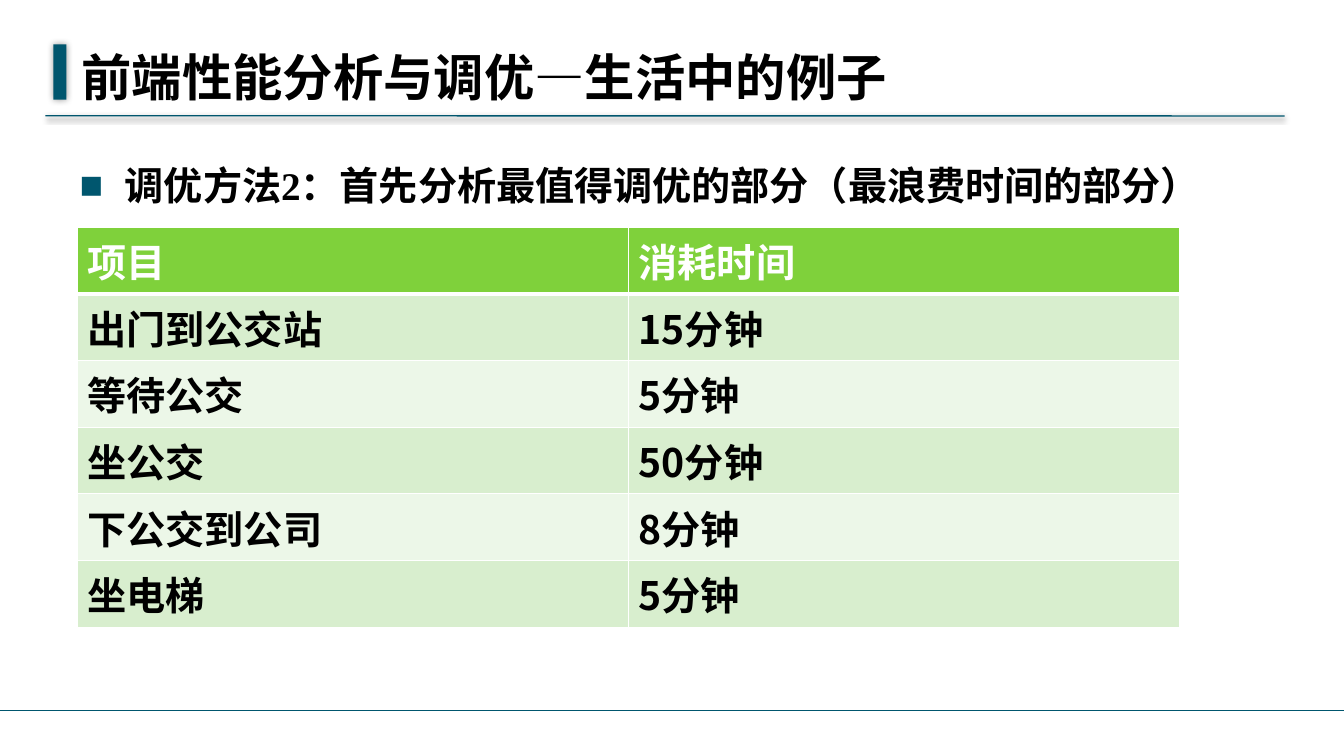
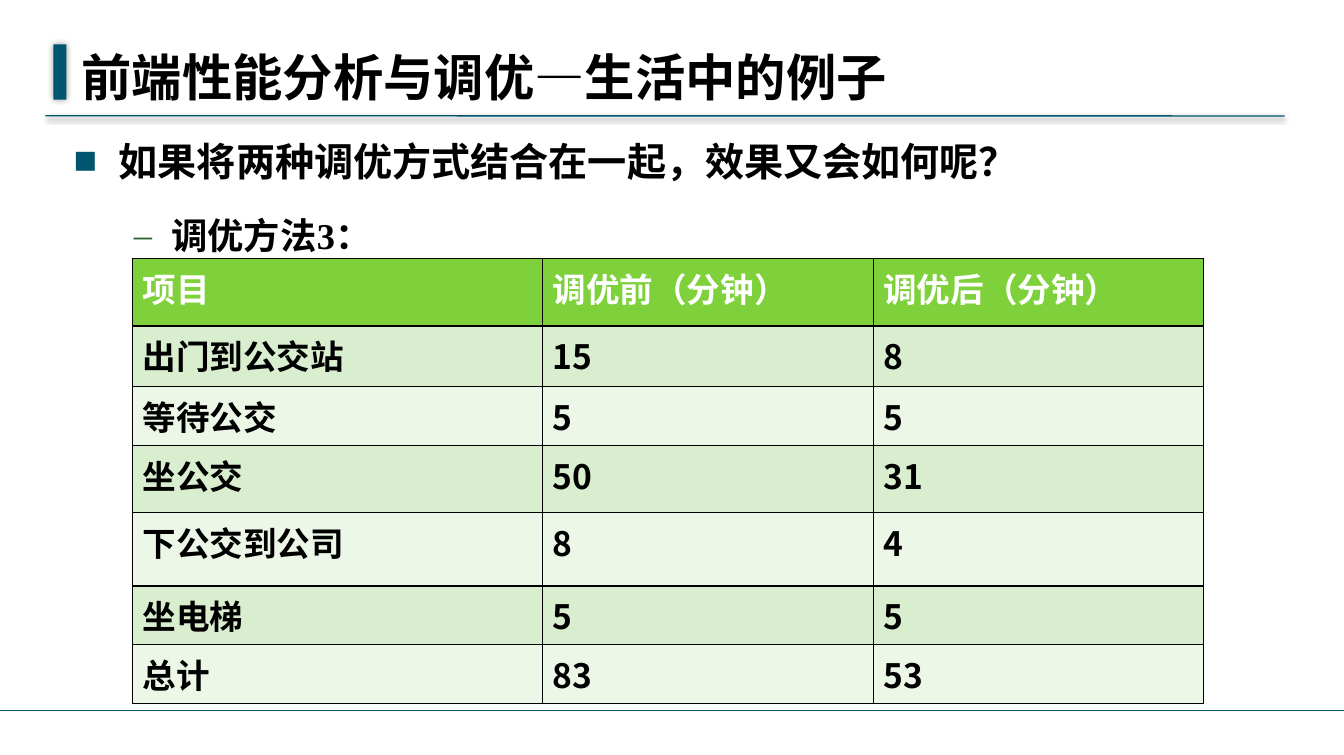
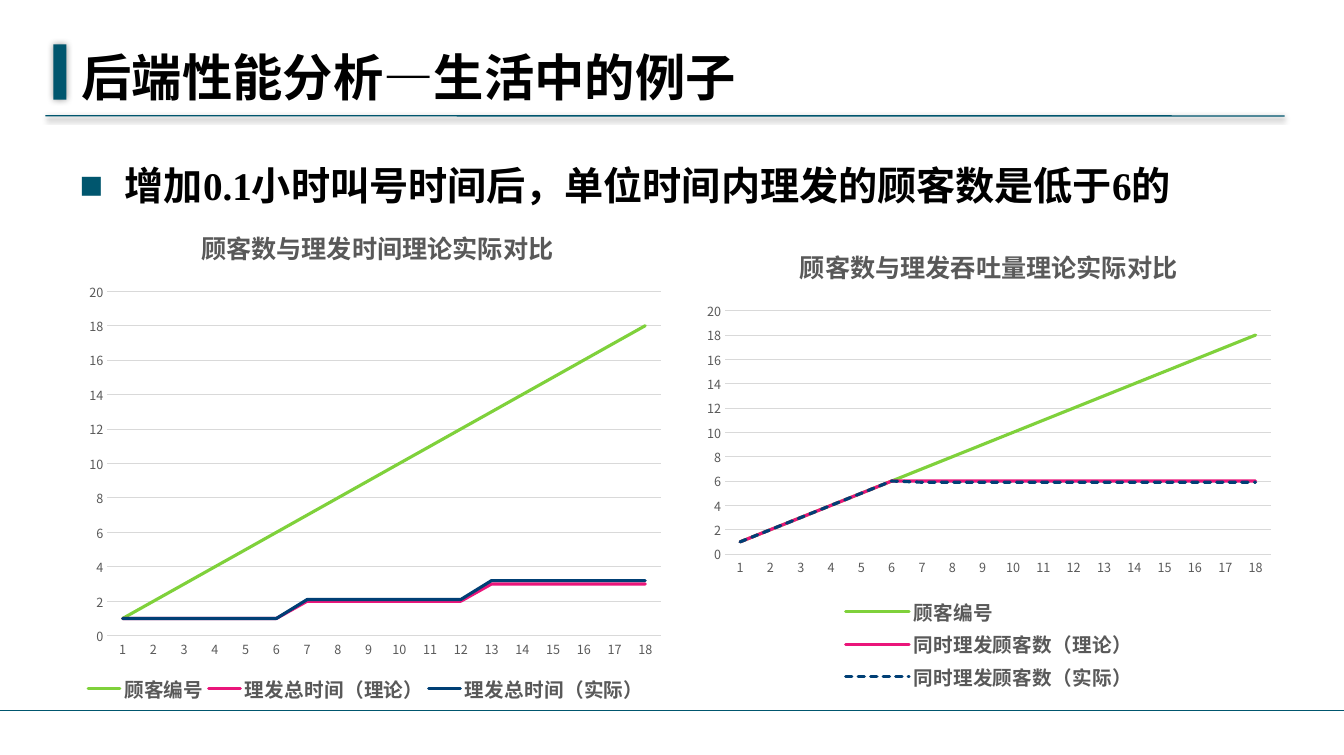
from dataclasses import dataclass
from typing import Any, Optional

from lxml.etree import SubElement
from pptx import Presentation
from pptx.chart.data import CategoryChartData
from pptx.dml.color import RGBColor
from pptx.enum.chart import XL_CHART_TYPE as ChartType
from pptx.enum.chart import XL_LEGEND_POSITION as LegendPosition
from pptx.enum.chart import XL_TICK_MARK as TickMark
from pptx.enum.dml import MSO_LINE_DASH_STYLE as Dash
from pptx.enum.shapes import MSO_CONNECTOR as Connector
from pptx.enum.shapes import MSO_SHAPE as Preset
from pptx.enum.text import MSO_ANCHOR as Anchor
from pptx.enum.text import MSO_AUTO_SIZE as AutoSize
from pptx.enum.text import PP_ALIGN as Align
from pptx.oxml.ns import qn
from pptx.util import Inches, Pt

WIDTH, HEIGHT = Inches(13.35), Inches(7.5)
SANS, SERIF = "Noto Sans CJK SC", "Times New Roman"
TEAL, GREEN, PINK, NAVY = "00566E", "7FD13B", "EA157A", "003F75"
BLACK, WHITE, GREY, PALE_GREY = "000000", "FFFFFF", "595959", "D9D9D9"
BANDS = ("ECF7E8", "D8EECE")
CUSTOMERS = list(range(1, 19))


@dataclass(frozen=True)
class Area:
    """A rectangle in percent of the slide's width and height."""
    left: float
    top: float
    width: float
    height: float

    def emu(self) -> tuple[int, int, int, int]:
        return (across(self.left), down(self.top),
                across(self.width), down(self.height))


@dataclass(frozen=True)
class Shadow:
    opacity: int
    blur: float
    distance: float = 0
    angle: int = 0


@dataclass(frozen=True)
class Level:
    bullet: str
    bullet_color: str
    size: int
    margin: float
    hanging: float
    before: int


@dataclass(frozen=True)
class Grid:
    """A table; columns and rows are in percent of the slide's size."""
    left: float
    top: float
    columns: list[float]
    rows: list[float]
    cells: list[list[str]]
    size: int
    border: str
    header_rule: float


@dataclass(frozen=True)
class Series:
    name: str
    values: list[float]
    color: str
    dash: Optional[Dash] = None


@dataclass(frozen=True)
class Graph:
    """A line chart; title_at, plot and legend are shares of its size."""
    area: Area
    title: str
    title_at: tuple[float, float]
    plot: tuple[float, float, float, float]
    series: list[Series]
    legend: Optional[tuple[float, float, float, float]] = None


TITLE_AREA = Area(5.17, 5.87, 67.79, 8.4)
BODY_AREA = Area(5.02, 17.47, 90, 73.47)
RAISED_BODY_AREA = Area(4.57, 14.27, 90, 73.47)
FOOTER_STARTS, FOOTER_LENGTH = (63.52, -0.15, 28.61), 36.48
LEVELS = (Level("■", TEAL, 28, 0.45, 0.45, 0),
          Level("–", "2F6231", 26, 0.97, 0.37, 5))


def across(percent: float) -> int:
    return round(WIDTH * percent / 100)


def down(percent: float) -> int:
    return round(HEIGHT * percent / 100)


def color(value: str) -> RGBColor:
    return RGBColor.from_string(value)


def assign(target: Any, values: dict[str, Any]) -> None:
    for name, value in values.items():
        setattr(target, name, value)


def set_font(font: Any, size: float, ink: str, bold: bool = False,
             face: str = SANS) -> None:
    assign(font, {"size": Pt(size), "bold": bold, "name": face})
    font.color.rgb = color(ink)
    SubElement(font._rPr, qn("a:ea"), typeface=SANS)


def set_line(line: Any, ink: str, width: float) -> None:
    line.color.rgb = color(ink)
    line.width = Pt(width)


def set_shadow(shape: Any, shadow: Optional[Shadow] = None) -> None:
    effects = SubElement(shape.element.spPr, qn("a:effectLst"))
    if shadow:
        outer = SubElement(effects, qn("a:outerShdw"),
                           blurRad=str(Pt(shadow.blur)),
                           dist=str(Pt(shadow.distance)),
                           dir=str(shadow.angle * 60000), rotWithShape="0")
        ink = SubElement(outer, qn("a:srgbClr"), val=BLACK)
        SubElement(ink, qn("a:alpha"), val=str(shadow.opacity * 1000))


def add_rule(page: Any, left: float, right: float, top: float,
             slope: float = 0, shadow: Optional[Shadow] = None) -> Any:
    rule = page.shapes.add_connector(Connector.STRAIGHT, across(left),
                                     down(top), across(right),
                                     down(top + slope))
    set_line(rule.line, TEAL, 1)
    set_shadow(rule, shadow)
    return rule


def add_bar(page: Any) -> Any:
    bar = page.shapes.add_shape(Preset.RECTANGLE,
                                *Area(3.97, 5.87, 0.97, 7.33).emu())
    bar.fill.solid()
    bar.fill.fore_color.rgb = color(TEAL)
    bar.line.fill.background()
    set_shadow(bar, Shadow(40, 5))
    return bar


def furnish_layout(layout: Any, page: Any) -> None:
    """Draw the shared decoration on a page and move it to the layout."""
    title_rule = add_rule(page, 3.37, 95.58, 15.33, 0.03,
                          Shadow(42, 4, 1.6, 90))
    footer = [add_rule(page, start, start + FOOTER_LENGTH, 94.13)
              for start in FOOTER_STARTS]
    for shape in (title_rule, add_bar(page), *footer):
        layout.shapes.element.append(shape.element)


def prepare_frame(box: Any, area: Area, anchor: Anchor) -> Any:
    assign(box, dict(zip(("left", "top", "width", "height"), area.emu())))
    frame = box.text_frame
    assign(frame, {"margin_left": Inches(0.12), "margin_right": Inches(0.12),
                   "margin_top": Inches(0.06), "margin_bottom": Inches(0.06),
                   "word_wrap": True, "auto_size": AutoSize.NONE,
                   "vertical_anchor": anchor})
    return frame


def add_span(para: Any, text: str, size: float, ink: str,
             face: str = SANS) -> None:
    span = para.add_run()
    span.text = text
    set_font(span.font, size, ink, True, face)


def set_title(page: Any, text: str) -> None:
    para = prepare_frame(page.shapes.title, TITLE_AREA,
                         Anchor.MIDDLE).paragraphs[0]
    para.alignment = Align.LEFT
    add_span(para, text, 36, BLACK)


def set_body(page: Any, area: Area, lines: list[str]) -> None:
    """Fill the body with one line for each list level."""
    frame = prepare_frame(page.placeholders[1], area, Anchor.TOP)
    for depth, (text, level) in enumerate(zip(lines, LEVELS)):
        para = frame.add_paragraph() if depth else frame.paragraphs[0]
        props = para._p.get_or_add_pPr()
        props.set("marL", str(Inches(level.margin)))
        props.set("indent", str(-Inches(level.hanging)))
        tint = SubElement(props, qn("a:buClr"))
        SubElement(tint, qn("a:srgbClr"), val=level.bullet_color)
        SubElement(props, qn("a:buFont"), typeface=SERIF)
        SubElement(props, qn("a:buChar"), char=level.bullet)
        assign(para, {"level": depth, "line_spacing": 1.5,
                      "space_before": Pt(level.before)})
        add_span(para, text, level.size, BLACK, SERIF)


def set_borders(cell: Any, ink: str, widths: dict[str, float]) -> None:
    props = cell._tc.get_or_add_tcPr()
    for side, width in widths.items():
        edge = SubElement(props, qn(f"a:ln{side}"), w=str(Pt(width)))
        fill = SubElement(edge, qn("a:solidFill"))
        SubElement(fill, qn("a:srgbClr"), val=ink)


def add_grid(page: Any, grid: Grid) -> None:
    area = Area(grid.left, grid.top, sum(grid.columns), sum(grid.rows))
    table = page.shapes.add_table(len(grid.rows), len(grid.columns),
                                  *area.emu()).table
    table.horz_banding = False
    for column, width in zip(table.columns, grid.columns):
        column.width = across(width)
    for index, (row, height) in enumerate(zip(table.rows, grid.rows)):
        row.height = down(height)
        for cell, text in zip(row.cells, grid.cells[index]):
            set_borders(cell, grid.border, {
                "L": 1, "R": 1,
                "T": grid.header_rule if index == 1 else 1,
                "B": grid.header_rule if index == 0 else 1})
            cell.fill.solid()
            cell.fill.fore_color.rgb = color(BANDS[index % 2] if index
                                             else GREEN)
            add_span(cell.text_frame.paragraphs[0], text, grid.size,
                     BLACK if index else WHITE)


def set_layout(parent: Any, position: int, values: dict[str, Any]) -> None:
    """Place a chart part by hand, replacing its automatic layout."""
    for automatic in parent.findall(qn("c:layout")):
        parent.remove(automatic)
    layout = SubElement(parent, qn("c:layout"))
    manual = SubElement(layout, qn("c:manualLayout"))
    for name, value in values.items():
        SubElement(manual, qn(f"c:{name}"), val=str(value))
    parent.insert(position, layout)


def style_axes(chart: Any) -> None:
    for axis in (chart.category_axis, chart.value_axis):
        assign(axis, {"major_tick_mark": TickMark.NONE,
                      "minor_tick_mark": TickMark.NONE})
        set_font(axis.tick_labels.font, 9, GREY)
    set_line(chart.category_axis.format.line, PALE_GREY, 0.75)
    scale = chart.value_axis
    assign(scale, {"minimum_scale": 0, "maximum_scale": 20, "major_unit": 2,
                   "has_major_gridlines": True})
    scale.format.line.fill.background()
    set_line(scale.major_gridlines.format.line, PALE_GREY, 0.75)


def add_graph(page: Any, graph: Graph) -> None:
    data = CategoryChartData()
    data.categories = [str(number) for number in CUSTOMERS]
    for series in graph.series:
        data.add_series(series.name, series.values)
    chart = page.shapes.add_chart(ChartType.LINE, *graph.area.emu(),
                                  data).chart
    set_font(chart.font, 10, BLACK)
    style_axes(chart)

    add_span(chart.chart_title.text_frame.paragraphs[0], graph.title, 18, GREY)
    modes = {"xMode": "edge", "yMode": "edge"}
    set_layout(chart.chart_title._element, 1,
               modes | dict(zip("xy", graph.title_at)))
    set_layout(chart.plots[0]._element.getparent(), 0,
               {"layoutTarget": "inner"} | modes
               | dict(zip("xywh", graph.plot)))

    chart.has_legend = True
    assign(chart.legend, {"position": LegendPosition.BOTTOM,
                          "include_in_layout": False})
    set_font(chart.legend.font, 14, GREY, True)
    if graph.legend:
        set_layout(chart.legend._element, 1,
                   modes | dict(zip("xywh", graph.legend)))

    chart.plots[0].vary_by_categories = False
    for curve, series in zip(chart.plots[0].series, graph.series):
        curve.smooth = False
        line = curve.format.line
        set_line(line, series.color, 2.25)
        line._get_or_add_ln().set("cap", "rnd")
        if series.dash:
            line.dash_style = series.dash


TIME_GRID = Grid(
    5.77, 30.1, [41.01] * 2, [8.8] * 6,
    [["项目", "消耗时间"],
     ["出门到公交站", "15分钟"],
     ["等待公交", "5分钟"],
     ["坐公交", "50分钟"],
     ["下公交到公司", "8分钟"],
     ["坐电梯", "5分钟"]],
    28, WHITE, 3)

TUNING_GRID = Grid(
    9.86, 34.25, [30.52, 24.6, 24.57],
    [8.93, 8, 6.8, 8.93, 9.73, 6.8, 6.8],
    [["项目", "调优前（分钟）", "调优后（分钟）"],
     ["出门到公交站", "15", "8"],
     ["等待公交", "5", "5"],
     ["坐公交", "50", "31"],
     ["下公交到公司", "8", "4"],
     ["坐电梯", "5", "5"],
     ["总计", "83", "53"]],
    24, BLACK, 1)

NUMBERS = Series("顾客编号", CUSTOMERS, GREEN)
GRAPHS = (
    Graph(Area(5.77, 28, 44.27, 66.13), "顾客数与理发时间理论实际对比",
          (0.2, 0.02), (0.05, 0.16, 0.93, 0.69),
          [NUMBERS,
           Series("理发总时间（理论）", [1] * 6 + [2] * 6 + [3] * 6, PINK),
           Series("理发总时间（实际）", [1] * 6 + [2.1] * 6 + [3.2] * 6, NAVY)],
          (0.01, 0.92, 0.95, 0.07)),
    Graph(Area(51.76, 30, 43.67, 62), "顾客数与理发吞吐量理论实际对比",
          (0.17, 0.03), (0.05, 0.18, 0.93, 0.52),
          [NUMBERS,
           Series("同时理发顾客数（理论）", CUSTOMERS[:6] + [6] * 12, PINK),
           Series("同时理发顾客数（实际）", CUSTOMERS[:6] + [5.9] * 12, NAVY,
                  Dash.SQUARE_DOT)]),
)


def main() -> None:
    deck = Presentation()
    assign(deck, {"slide_width": WIDTH, "slide_height": HEIGHT})
    layout = deck.slide_layouts[1]
    pages = [deck.slides.add_slide(layout) for _ in range(3)]
    time_page, tuning_page, chart_page = pages
    furnish_layout(layout, time_page)

    for page in (time_page, tuning_page):
        set_title(page, "前端性能分析与调优—生活中的例子")
    set_title(chart_page, "后端性能分析—生活中的例子")

    set_body(time_page, BODY_AREA,
             ["调优方法2：首先分析最值得调优的部分（最浪费时间的部分）"])
    add_grid(time_page, TIME_GRID)

    set_body(tuning_page, RAISED_BODY_AREA,
             ["如果将两种调优方式结合在一起，效果又会如何呢？", "调优方法3："])
    add_grid(tuning_page, TUNING_GRID)

    set_body(chart_page, BODY_AREA,
             ["增加0.1小时叫号时间后，单位时间内理发的顾客数是低于6的"])
    for graph in GRAPHS:
        add_graph(chart_page, graph)

    deck.save("out.pptx")


if __name__ == "__main__":
    main()
